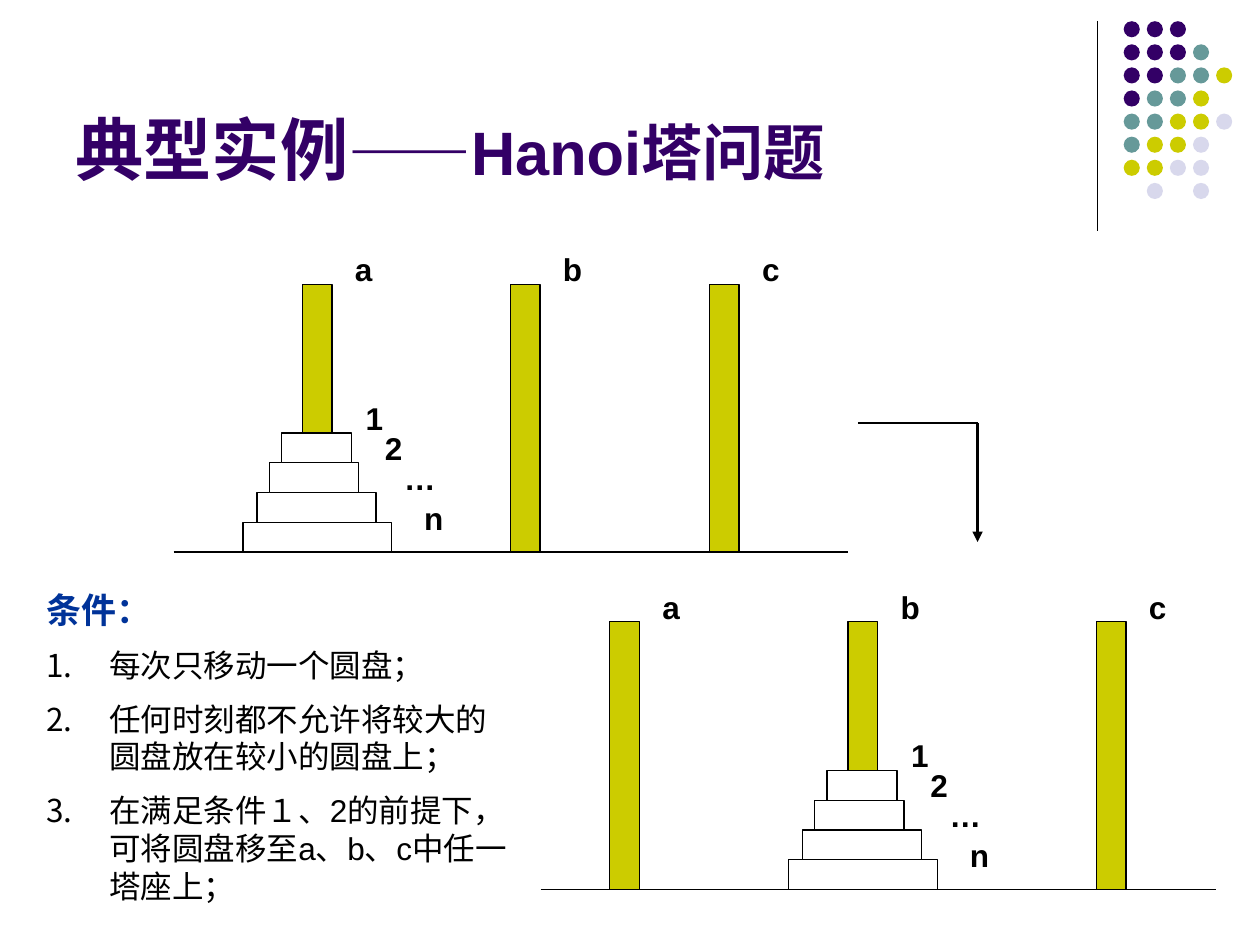
from lxml import etree
from pptx import Presentation
from pptx.dml.color import RGBColor
from pptx.enum import shapes, text
from pptx.oxml import ns
from pptx.util import Pt

BLACK, WHITE = "000000", "FFFFFF"
PURPLE, TEAL, OLIVE, LILAC, BLUE = "330066", "669999", "CCCC00", "D8D8EC", "003399"
color = RGBColor.from_string

prs = Presentation()
prs.slide_width, prs.slide_height = Pt(720), Pt(540)
slide = prs.slides.add_slide(prs.slide_layouts[6])

# Dot ornament, one letter per dot
dot_colors = {"P": PURPLE, "T": TEAL, "O": OLIVE, "L": LILAC}
dot_rows = ["PPP", "PPPT", "PPTTO", "PTTO", "TTOOL", "TOOL", "OOLL", " L L"]
for row, letters in enumerate(dot_rows):
    for column, letter in enumerate(letters):
        if letter in dot_colors:
            dot = slide.shapes.add_shape(
                shapes.MSO_SHAPE.OVAL, Pt(642.1 + 13.2 * column),
                Pt(12.1 + 13.2 * row), Pt(9.2), Pt(9.2))
            dot.shadow.inherit = False
            dot.fill.solid()
            dot.fill.fore_color.rgb = color(dot_colors[letter])
            dot.line.fill.background()

# Rules: ornament divider, two ground lines, two parts of the arrow
rules = [
    (627, 12, 627, 132, 0.75),
    (99.2, 315.5, 484.6, 315.5, 0.75),
    (309, 508.3, 694.6, 508.3, 0.75),
    (490.3, 241.7, 558.6, 241.7, 1.5),
    (558.6, 241.7, 558.6, 309.7, 1.5),
]
for x1, y1, x2, y2, width in rules:
    rule = slide.shapes.add_connector(
        shapes.MSO_CONNECTOR.STRAIGHT, Pt(x1), Pt(y1), Pt(x2), Pt(y2))
    rule.line.color.rgb = color(BLACK)
    rule.line.width = Pt(width)
    etree.SubElement(rule._element.spPr, ns.qn("a:effectLst"))
# The last rule points down to the solved towers
etree.SubElement(rule.line._get_or_add_ln(), ns.qn("a:tailEnd"), type="triangle")


def add_block(left, top, width, height, fill):
    block = slide.shapes.add_shape(
        shapes.MSO_SHAPE.RECTANGLE, Pt(left), Pt(top), Pt(width), Pt(height))
    block.shadow.inherit = False
    block.fill.solid()
    block.fill.fore_color.rgb = color(fill)
    block.line.color.rgb = color(BLACK)
    block.line.width = Pt(0.75)


def add_text(left, top, width, height, *paragraphs):
    """Add a wrapped text box; each paragraph is (wording, size, colour, bold)."""
    box = slide.shapes.add_textbox(Pt(left), Pt(top), Pt(width), Pt(height))
    frame = box.text_frame
    frame.word_wrap = True
    for i, (wording, size, ink, bold) in enumerate(paragraphs):
        paragraph = frame.add_paragraph() if i else frame.paragraphs[0]
        paragraph.text = wording
        font = paragraph.font
        font.name, font.size, font.bold = "Arial", Pt(size), bold
        font.color.rgb = color(ink)
    return frame


# Towers before and after: top of the poles, pole positions, pole with discs
pole_width, pole_height, disc_height = 17, 153, 17
discs = [(-34, 85), (-26, 68), (-19, 51), (-12, 40)]
disc_labels = [("1", 29, 62), ("2", 40, 79), ("…", 51, 96), ("n", 62.5, 119)]
towers = [
    (162.5, {"a": 172.8, "b": 291.6, "c": 405.4}, "a"),
    (355.3, {"a": 348.5, "b": 484.6, "c": 626.4}, "b"),
]
for top, poles, loaded in towers:
    for name, left in poles.items():
        add_block(left, top, pole_width, pole_height, OLIVE)
        add_text(left + 23, top - 23, 28, 29, (name, 18, BLACK, True))
    left = poles[loaded]
    for level, (offset, width) in enumerate(discs, start=1):
        add_block(left + offset, top + pole_height - level * disc_height,
                  width, disc_height, WHITE)
    for label, dx, dy in disc_labels:
        add_text(left + dx, top + dy, 22.3, 29, (label, 18, BLACK, True))

title = add_text(36, 9.4, 594, 102.2, ("典型实例", 39, PURPLE, True))
title.vertical_anchor = text.MSO_ANCHOR.BOTTOM
subtitle = title.paragraphs[0].add_run()
subtitle.text = "——Hanoi塔问题"
subtitle.font.size = Pt(35)

conditions = add_text(
    19.4, 332.6, 278, 193.7,
    ("条件：", 20, BLUE, True),
    ("每次只移动一个圆盘；", 18, BLACK, False),
    ("任何时刻都不允许将较大的圆盘放在较小的圆盘上；", 18, BLACK, False),
    ("在满足条件１、2的前提下，可将圆盘移至a、b、c中任一塔座上；", 18, BLACK, False))
for i, condition in enumerate(conditions.paragraphs):
    properties = condition._p.get_or_add_pPr()
    properties.set("marL", str(Pt(36)))
    properties.set("indent", str(Pt(-36)))
    if i:
        condition.space_before = Pt(9)
        numbering = etree.Element(ns.qn("a:buAutoNum"), type="arabicPeriod")
        properties.find(ns.qn("a:defRPr")).addprevious(numbering)

prs.save("out.pptx")
